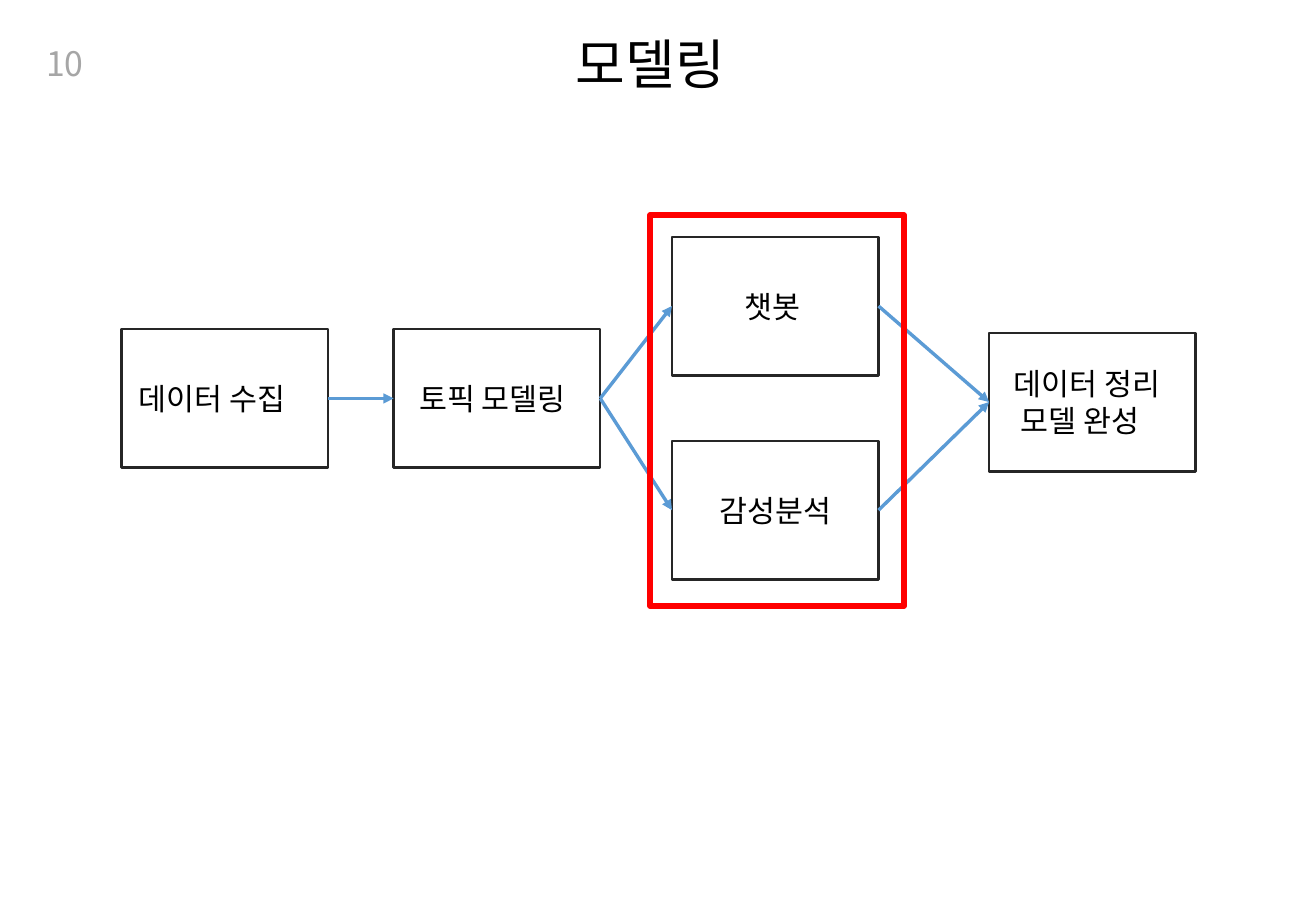
from dataclasses import dataclass

from lxml.etree import SubElement
from pptx import Presentation
from pptx.dml.color import RGBColor as Color
from pptx.enum.shapes import MSO_CONNECTOR as Connector, MSO_SHAPE as Shape
from pptx.enum.text import MSO_ANCHOR as Anchor, PP_ALIGN as Align
from pptx.oxml.ns import qn
from pptx.util import Pt

PX = 9144
LEFT_SITE, RIGHT_SITE = 1, 3


@dataclass(frozen=True)
class Theme:
    font: str = "Noto Sans CJK KR"
    ink: Color = Color(0x00, 0x00, 0x00)
    number: Color = Color(0xA6, 0xA6, 0xA6)
    outline: Color = Color(0x26, 0x26, 0x26)
    arrow: Color = Color(0x5B, 0x9B, 0xD5)
    highlight: Color = Color(0xFF, 0x00, 0x00)
    title_size: int = 32
    number_size: int = 20
    label_size: int = 18
    outline_width: float = 1.5
    arrow_width: float = 2
    highlight_width: float = 3.25


THEME = Theme()


def scaled(box):
    return [length * PX for length in box]


def add_span(para, text, size, color):
    span = para.add_run()
    span.text = text
    span.font.size = Pt(size)
    span.font.name = THEME.font
    span.font.color.rgb = color
    SubElement(span.font._element, qn("a:ea"), typeface=THEME.font)


def add_heading(page, box, text, size, color, align):
    frame = page.shapes.add_textbox(*scaled(box)).text_frame
    frame.word_wrap = False
    para = frame.paragraphs[0]
    para.alignment = align
    add_span(para, text, size, color)


def add_outline(page, box, color, width):
    outline = page.shapes.add_shape(Shape.RECTANGLE, *scaled(box))
    outline.shadow.inherit = False
    outline.fill.background()
    outline.line.color.rgb = color
    outline.line.width = Pt(width)
    return outline


def add_stage(page, box, inset, lines):
    stage = add_outline(page, box, THEME.outline, THEME.outline_width)
    frame = stage.text_frame
    frame.word_wrap = True
    frame.vertical_anchor = Anchor.MIDDLE
    frame.margin_left = inset * PX
    frame.margin_right = 0
    for index, (text, indent) in enumerate(lines):
        para = frame.add_paragraph() if index else frame.paragraphs[0]
        para.alignment = Align.LEFT
        para._p.get_or_add_pPr().set("marL", str(indent * PX))
        add_span(para, text, THEME.label_size, THEME.ink)
    return stage


def add_arrow(page, source, target):
    arrow = page.shapes.add_connector(Connector.STRAIGHT, 0, 0, 0, 0)
    arrow.begin_connect(source, RIGHT_SITE)
    arrow.end_connect(target, LEFT_SITE)
    arrow.line.color.rgb = THEME.arrow
    arrow.line.width = Pt(THEME.arrow_width)
    SubElement(arrow.line._get_or_add_ln(), qn("a:tailEnd"), type="triangle")
    SubElement(arrow._element.spPr, qn("a:effectLst"))


def add_flow(page, box):
    left, top, width, height = box
    stage_width, stage_height = 170, 114

    def place(x, y, inset, *lines):
        return add_stage(page, (left + x, top + y, stage_width, stage_height), inset, lines)

    collect = place(0, 94, 14, ("데이터 수집", 0))
    topic = place(224, 94, 21, ("토픽 모델링", 0))
    chatbot = place(453, 18, 60, ("챗봇", 0))
    sentiment = place(453, 186, 39, ("감성분석", 0))
    finish = place(width - stage_width, 97, 20, ("데이터 정리", 0), ("모델 완성", 6))

    add_arrow(page, collect, topic)
    for branch in (chatbot, sentiment):
        add_arrow(page, topic, branch)
        add_arrow(page, branch, finish)
    add_outline(page, (left + 435, top, 209, height), THEME.highlight, THEME.highlight_width)


def main():
    deck = Presentation()
    deck.slide_width, deck.slide_height = scaled((1083, 750))
    page = deck.slides.add_slide(deck.slide_layouts[6])
    add_heading(page, (28, 30, 51, 44), "10", THEME.number_size, THEME.number, Align.CENTER)
    add_heading(page, (464, 20, 155, 64), "모델링", THEME.title_size, THEME.ink, Align.LEFT)
    add_flow(page, (100, 177, 884, 322))
    deck.save("out.pptx")


if __name__ == "__main__":
    main()
